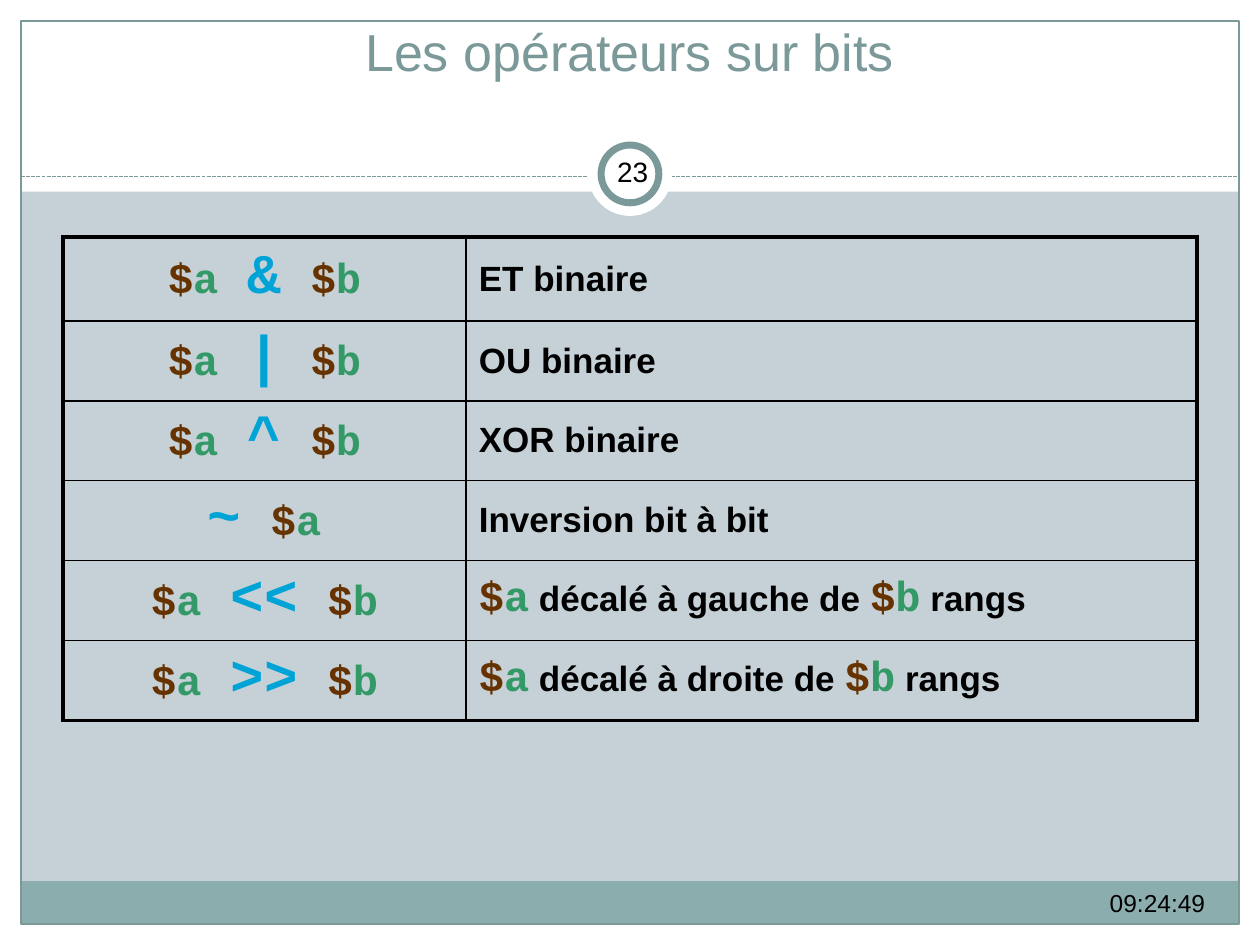
from lxml import etree
from pptx import Presentation
from pptx.dml.color import RGBColor
from pptx.enum.dml import MSO_LINE
from pptx.enum.shapes import MSO_CONNECTOR, MSO_SHAPE
from pptx.enum.text import MSO_ANCHOR, PP_ALIGN
from pptx.oxml.ns import qn
from pptx.util import Pt

RECT, OVAL = MSO_SHAPE.RECTANGLE, MSO_SHAPE.OVAL
STRAIGHT, DASH = MSO_CONNECTOR.STRAIGHT, MSO_LINE.SQUARE_DOT
LEFT, CENTER, RIGHT = PP_ALIGN.LEFT, PP_ALIGN.CENTER, PP_ALIGN.RIGHT
TOP, MIDDLE, BOTTOM = MSO_ANCHOR.TOP, MSO_ANCHOR.MIDDLE, MSO_ANCHOR.BOTTOM

WHITE = RGBColor(0xFF, 0xFF, 0xFF)
BLACK = RGBColor(0x00, 0x00, 0x00)
PALE = RGBColor(0xC5, 0xD1, 0xD7)
TEAL = RGBColor(0x7C, 0x99, 0x9A)
FOOTER = RGBColor(0x8C, 0xAD, 0xAE)
BROWN = RGBColor(0x66, 0x33, 0x00)
GREEN = RGBColor(0x33, 0x99, 0x66)
BLUE = RGBColor(0x00, 0xA3, 0xD6)

SANS, MONO = "Arial", "Courier New"
SIGIL = (MONO, 24, BROWN)
VARIABLE = (MONO, 24, GREEN)
GAP = (MONO, 28, BLACK)
OPERATOR = (MONO, 32, BLUE)
PROSE = (SANS, 20, BLACK)

WIDTH, HEIGHT, MARGIN = 720, 540, 12
THICK, THIN = 2.25, 1

OPERATIONS = [
    ("$a & $b", ["ET binaire"]),
    ("$a | $b", ["OU binaire"]),
    ("$a ^ $b", ["XOR binaire"]),
    ("~ $a", ["Inversion bit à bit"]),
    ("$a << $b", ["$a", " décalé à gauche de ", "$b", " rangs"]),
    ("$a >> $b", ["$a", " décalé à droite de ", "$b", " rangs"]),
]


class SlideBuilder:
    def __init__(self, slide, background):
        self.slide = slide
        slide.background.fill.solid()
        slide.background.fill.fore_color.rgb = background

    def shape(self, kind, box, fill=None, line=None, weight=0.75):
        shape = self.slide.shapes.add_shape(kind, *map(Pt, box))
        shape.shadow.inherit = False
        if fill is None:
            shape.fill.background()
        else:
            shape.fill.solid()
            shape.fill.fore_color.rgb = fill
        if line is None:
            shape.line.fill.background()
        else:
            shape.line.color.rgb = line
            shape.line.width = Pt(weight)

    def dashed_line(self, start, end, color, weight):
        rule = self.slide.shapes.add_connector(STRAIGHT, *map(Pt, start + end))
        rule.line.color.rgb = color
        rule.line.width = Pt(weight)
        rule.line.dash_style = DASH
        properties = rule._element.find(qn("p:spPr"))
        etree.SubElement(properties, qn("a:effectLst"))

    def run(self, paragraph, text, style, bold=False):
        run = paragraph.add_run()
        run.text = text
        name, size, color = style
        for key, value in {"name": name, "size": Pt(size), "bold": bold}.items():
            setattr(run.font, key, value)
        run.font.color.rgb = color

    def text(self, box, words, style, align, anchor, insets=(7.2, 3.6, 7.2, 3.6)):
        frame = self.slide.shapes.add_textbox(*map(Pt, box)).text_frame
        left, top, right, bottom = map(Pt, insets)
        layout = {
            "word_wrap": True, "vertical_anchor": anchor,
            "margin_left": left, "margin_top": top,
            "margin_right": right, "margin_bottom": bottom,
        }
        for key, value in layout.items():
            setattr(frame, key, value)
        paragraph = frame.paragraphs[0]
        paragraph.alignment = align
        self.run(paragraph, words, style)

    def table(self, box, widths, heights):
        frame = self.slide.shapes.add_table(len(heights), len(widths), *map(Pt, box))
        table = frame.table
        table.first_row = table.horz_banding = False
        for column, width in zip(table.columns, widths):
            column.width = Pt(width)
        for row, height in zip(table.rows, heights):
            row.height = Pt(height)
        return table

    def cell(self, cell, tokens, plain_style, align, borders):
        """Fill a cell, colouring $variables and giving other words plain_style."""
        cell.fill.background()
        cell.vertical_anchor = MIDDLE
        paragraph = cell.text_frame.paragraphs[0]
        paragraph.alignment = align
        for token in tokens:
            if token.startswith("$"):
                self.run(paragraph, "$", SIGIL, True)
                self.run(paragraph, token[1:], VARIABLE, True)
            else:
                style = GAP if token == " " else plain_style
                self.run(paragraph, token, style, True)
        properties = cell._tc.get_or_add_tcPr()
        for position, (side, weight) in enumerate(zip("LRTB", borders)):
            edge = etree.Element(qn(f"a:ln{side}"), w=str(Pt(weight)))
            fill = etree.SubElement(edge, qn("a:solidFill"))
            etree.SubElement(fill, qn("a:srgbClr"), val=str(BLACK))
            properties.insert(position, edge)


def build_frame(builder):
    bands = [
        (0, HEIGHT - MARGIN, WIDTH, MARGIN),
        (0, 0, WIDTH, 109.5),
        (0, 0, MARGIN, HEIGHT),
        (WIDTH - MARGIN, 0, MARGIN, HEIGHT),
    ]
    for band in bands:
        builder.shape(RECT, band, WHITE)
    inner = WIDTH - 2 * MARGIN
    builder.shape(RECT, (MARGIN, 503.5, inner, 24.5), FOOTER)
    builder.shape(RECT, (MARGIN, MARGIN, inner, HEIGHT - 2 * MARGIN), line=TEAL)
    builder.dashed_line((MARGIN, 100.8), (WIDTH - MARGIN, 100.8), TEAL, 0.75)
    builder.shape(OVAL, (336, 75.4, 48, 48), WHITE)
    builder.shape(OVAL, (343.5, 82.9, 33, 33), WHITE, TEAL, 4)


def build_operations(builder):
    heights = [48] + [43.4] * (len(OPERATIONS) - 1)
    table = builder.table((36, 135.4, 648, sum(heights)), (230.4, 417.6), heights)
    last = len(OPERATIONS) - 1
    for index, (expression, meaning) in enumerate(OPERATIONS):
        top = THICK if index == 0 else THIN
        bottom = THICK if index == last else THIN
        tokens = expression.replace(" ", "\n \n").split("\n")
        builder.cell(table.cell(index, 0), tokens, OPERATOR, CENTER,
                     (THICK, THIN, top, bottom))
        builder.cell(table.cell(index, 1), meaning, PROSE, LEFT,
                     (THIN, THICK, top, bottom))


def main():
    deck = Presentation()
    deck.slide_width, deck.slide_height = Pt(WIDTH), Pt(HEIGHT)
    builder = SlideBuilder(deck.slides.add_slide(deck.slide_layouts[6]), PALE)
    build_frame(builder)
    builder.text((36, 21.6, 648, 27.4), "Les opérateurs sur bits",
                 (SANS, 29.7, TEAL), CENTER, BOTTOM, (7.2, 0, 7.2, 2.2))
    builder.text((455.8, 504, 240, 28.8), "09:24:49", (SANS, 14, BLACK), RIGHT, TOP)
    builder.text((343.5, 80.6, 36, 34.6), "23", (SANS, 16, BLACK), CENTER, MIDDLE,
                 (3.6, 3.6, 3.6, 3.6))
    build_operations(builder)
    deck.save("out.pptx")


if __name__ == "__main__":
    main()
